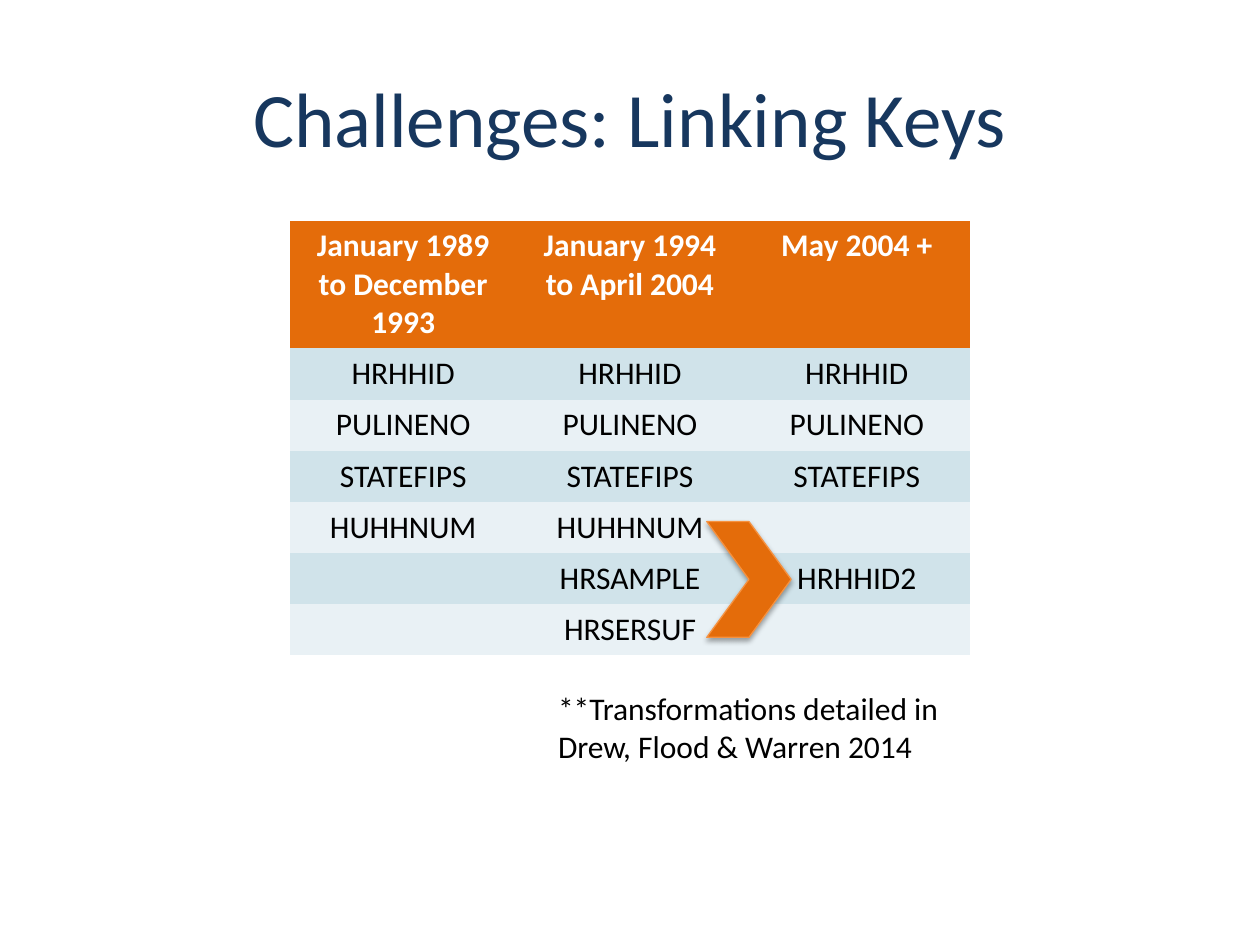
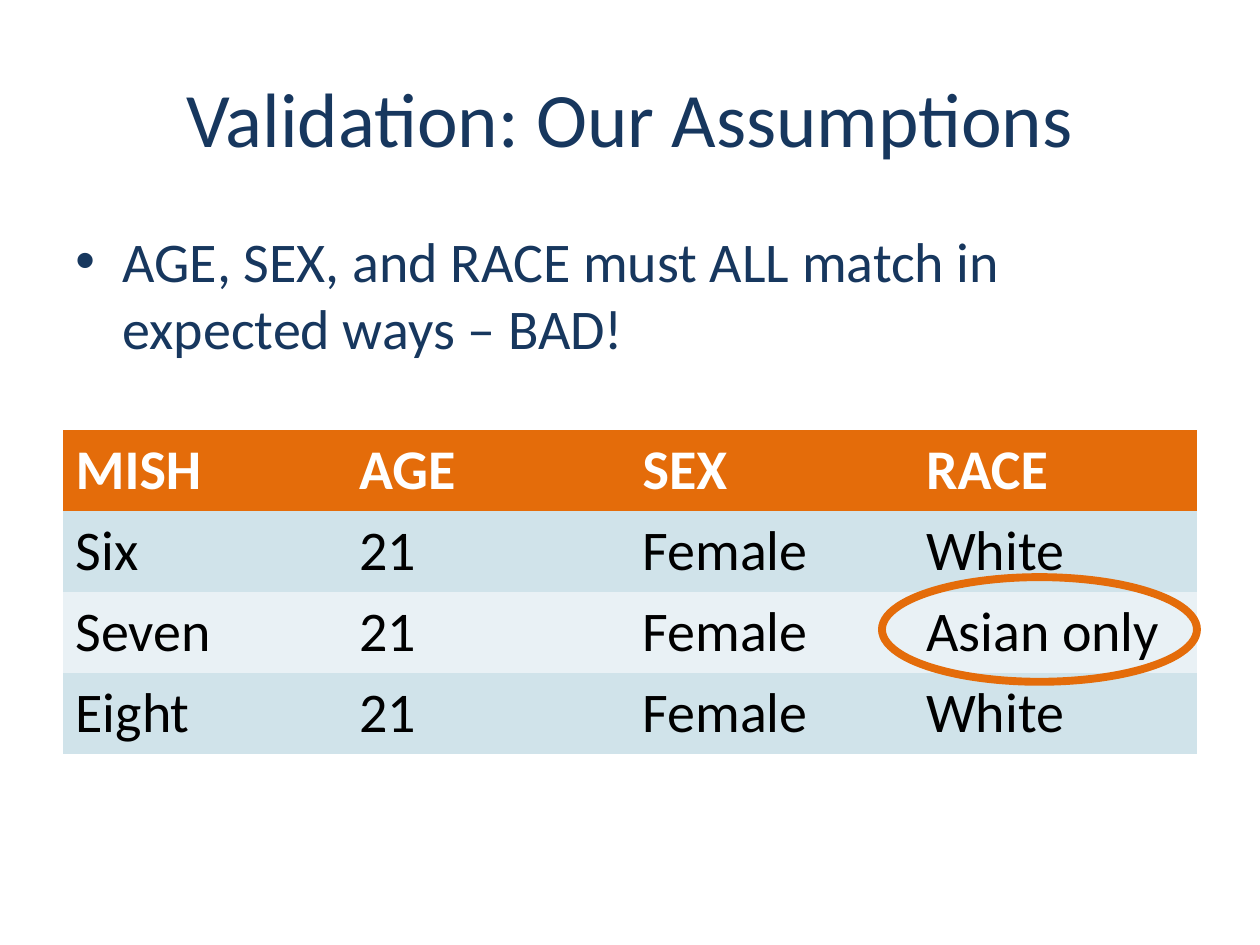
from dataclasses import dataclass

from lxml.etree import SubElement
from pptx import Presentation
from pptx.dml.color import RGBColor
from pptx.enum.shapes import MSO_SHAPE as Preset
from pptx.enum.text import MSO_ANCHOR as Anchor, PP_ALIGN as Align
from pptx.oxml.ns import qn
from pptx.util import Pt

NAVY = RGBColor(0x17, 0x37, 0x5E)
ORANGE = RGBColor(0xE4, 0x6C, 0x0A)
LIGHT_ORANGE = RGBColor(0xF6, 0x92, 0x40)
BLACK = RGBColor(0, 0, 0)
WHITE = RGBColor(0xFF, 0xFF, 0xFF)
BANDS = (RGBColor(0xD0, 0xE3, 0xEA), RGBColor(0xE9, 0xF1, 0xF5))
FONT = "Calibri"
PLAIN_TABLE_STYLE = "{2D5ABB26-0587-4C30-8999-92F81FD0307C}"


@dataclass(frozen=True)
class Box:
    left: float
    top: float
    width: float
    height: float

    def lengths(self) -> tuple:
        return Pt(self.left), Pt(self.top), Pt(self.width), Pt(self.height)


@dataclass(frozen=True)
class Grid:
    box: Box
    header_height: float
    row_height: float
    size: float
    align: Align
    rows: tuple


TITLE_BOX = Box(36, 21.6, 648, 90)
LINKING_KEYS = Grid(
    Box(165.6, 126, 388.8, 248.1), 72.6, 29.25, 18, Align.CENTER,
    (
        ("January 1989 to December 1993", "January 1994 to April 2004", "May 2004 +"),
        ("HRHHID",) * 3,
        ("PULINENO",) * 3,
        ("STATEFIPS",) * 3,
        ("HUHHNUM", "HUHHNUM", ""),
        ("", "HRSAMPLE", "HRHHID2"),
        ("", "HRSERSUF", ""),
    ),
)
MATCHES = Grid(
    Box(36, 245.9, 648, 185.2), 46.3, 46.3, 32, Align.LEFT,
    (
        ("MISH", "AGE", "SEX", "RACE"),
        ("Six", "21", "Female", "White"),
        ("Seven", "21", "Female", "Asian only"),
        ("Eight", "21", "Female", "White"),
    ),
)


def write(frame, text: str, *, size: float, color: RGBColor = BLACK,
          bold: bool = False, align: Align = Align.LEFT):
    para = frame.paragraphs[0]
    para.alignment = align
    para.font.size = Pt(size)
    if text:
        span = para.add_run()
        span.text = text
        font = span.font
        font.name, font.size, font.bold = FONT, Pt(size), bold
        font.color.rgb = color
    return para


def add_page(deck, title: str):
    page = deck.slides.add_slide(deck.slide_layouts[5])
    heading = page.shapes.title
    heading.left, heading.top, heading.width, heading.height = TITLE_BOX.lengths()
    heading.text_frame.vertical_anchor = Anchor.MIDDLE
    write(heading.text_frame, title, size=44, color=NAVY, align=Align.CENTER)
    return page


def add_text(page, box: Box, text: str, **text_format):
    frame = page.shapes.add_textbox(*box.lengths()).text_frame
    frame.word_wrap = True
    return write(frame, text, **text_format)


def add_bullet(para, indent: float) -> None:
    properties = para._p.get_or_add_pPr()
    properties.set("marL", str(Pt(indent)))
    properties.set("indent", str(Pt(-indent)))
    SubElement(properties, qn("a:buFont"), typeface="Arial")
    SubElement(properties, qn("a:buChar"), char="•")


def add_grid(page, grid: Grid) -> None:
    table = page.shapes.add_table(
        len(grid.rows), len(grid.rows[0]), *grid.box.lengths()).table
    table._tbl.tblPr.find(qn("a:tableStyleId")).text = PLAIN_TABLE_STYLE
    for index, words in enumerate(grid.rows):
        header = index == 0
        table.rows[index].height = Pt(grid.header_height if header else grid.row_height)
        for column, word in enumerate(words):
            cell = table.cell(index, column)
            cell.fill.solid()
            cell.fill.fore_color.rgb = ORANGE if header else BANDS[(index - 1) % 2]
            write(cell.text_frame, word, size=grid.size, bold=header,
                  color=WHITE if header else BLACK, align=grid.align)


def add_mark(page, preset: Preset, box: Box, line: RGBColor, weight: float,
             fill: RGBColor | None = None):
    mark = page.shapes.add_shape(preset, *box.lengths())
    mark.shadow.inherit = False
    if fill is None:
        mark.fill.background()
    else:
        mark.fill.solid()
        mark.fill.fore_color.rgb = fill
    mark.line.color.rgb = line
    mark.line.width = Pt(weight)
    return mark


def add_drop_shadow(mark) -> None:
    effects = mark._element.spPr.find(qn("a:effectLst"))
    shadow = SubElement(effects, qn("a:outerShdw"), blurRad=str(Pt(3.1)),
                        dist=str(Pt(1.8)), dir="5400000", rotWithShape="0")
    color = SubElement(shadow, qn("a:srgbClr"), val=str(BLACK))
    SubElement(color, qn("a:alpha"), val="35000")


def build_linking_keys(deck) -> None:
    page = add_page(deck, "Challenges: Linking Keys")
    add_grid(page, LINKING_KEYS)
    chevron = add_mark(page, Preset.CHEVRON, Box(403.9, 298, 48.2, 66.2),
                       LIGHT_ORANGE, 0.75, ORANGE)
    add_drop_shadow(chevron)
    add_text(page, Box(311.8, 390.2, 239.8, 51),
             "**Transformations detailed in Drew, Flood & Warren 2014", size=18)


def build_assumptions(deck) -> None:
    page = add_page(deck, "Validation: Our Assumptions")
    rule = add_text(page, Box(36, 126, 648, 356.4),
                    "AGE, SEX, and RACE must ALL match in expected ways – BAD!",
                    size=32, color=NAVY)
    rule.space_before = Pt(6.4)
    add_bullet(rule, 27)
    add_grid(page, MATCHES)
    add_mark(page, Preset.OVAL, Box(504, 329.8, 180, 59.8), ORANGE, 4.5)


def main() -> None:
    """Build the two slides on linking keys and validation."""
    deck = Presentation()
    deck.slide_width, deck.slide_height = Pt(720), Pt(540)
    build_linking_keys(deck)
    build_assumptions(deck)
    deck.save("out.pptx")


if __name__ == "__main__":
    main()
